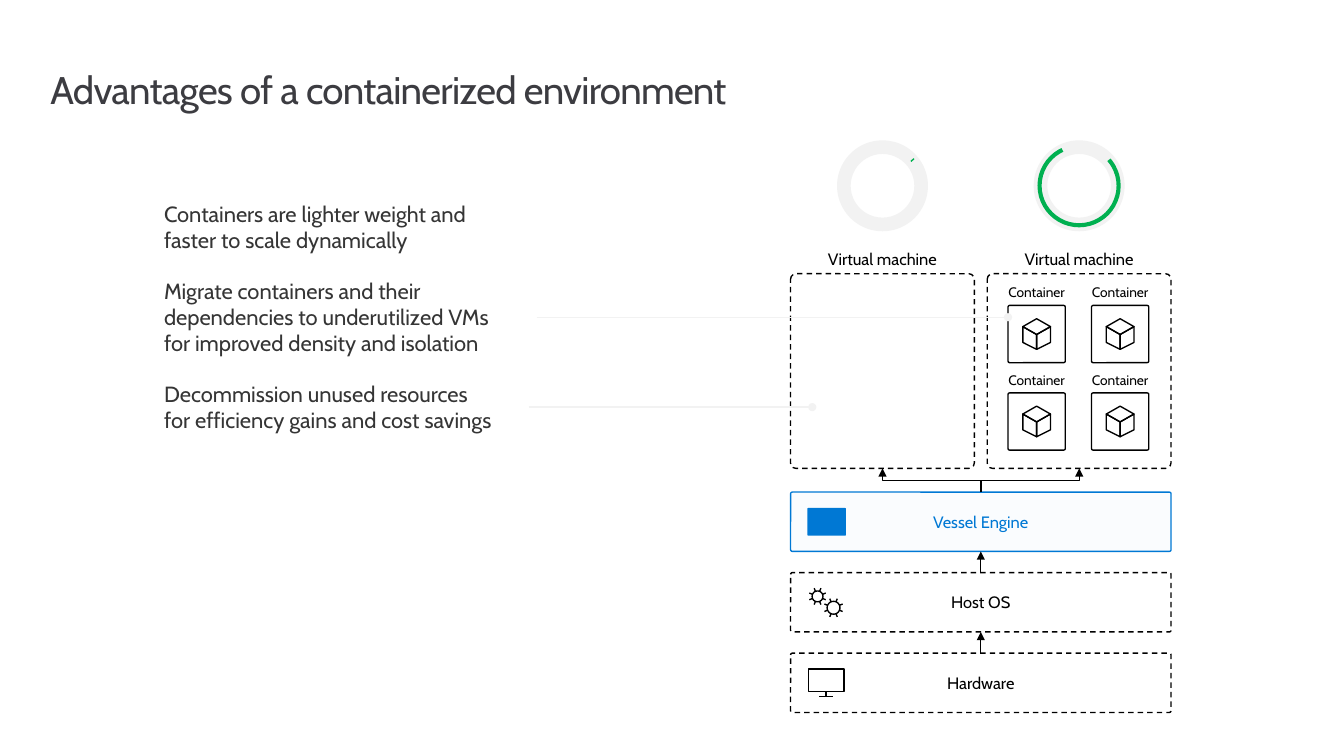
import math

import pptx
import pptx.dml.color
import pptx.enum.dml
import pptx.enum.shapes
import pptx.enum.text
import pptx.oxml.ns
import pptx.util
from lxml import etree

BLACK = pptx.dml.color.RGBColor(0x00, 0x00, 0x00)
TITLE_GREY = pptx.dml.color.RGBColor(0x3C, 0x3C, 0x41)
TEXT_GREY = pptx.dml.color.RGBColor(0x35, 0x35, 0x35)
PALE_GREY = pptx.dml.color.RGBColor(0xF2, 0xF2, 0xF2)
GREEN = pptx.dml.color.RGBColor(0x00, 0xB0, 0x50)
BLUE = pptx.dml.color.RGBColor(0x00, 0x78, 0xD4)

FONT = "Cabin"
COLUMNS, ROWS = 136, 76.5
CELL = pptx.util.Inches(0.1)
STACK_LEFT, STACK_WIDTH, LAYER_HEIGHT = 80, 38.5, 6
ENGINE_TOP, LAYER_PITCH = 49.8, 8.15
MACHINE_TOP, MACHINE_WIDTH, MACHINE_HEIGHT, MACHINE_PITCH = 27.7, 18.6, 19.7, 19.9
CONTAINER_LEFT, CONTAINER_TOP, CONTAINER_SIZE = 102, 30.9, 5.8
CONTAINER_PITCH_X, CONTAINER_PITCH_Y = 8.45, 8.85

SHAPE = pptx.enum.shapes.MSO_SHAPE
CONNECTOR = pptx.enum.shapes.MSO_CONNECTOR
ANCHOR = pptx.enum.text.MSO_ANCHOR
ALIGN = pptx.enum.text.PP_ALIGN

ADVANTAGES = [
    "Containers are lighter weight and\vfaster to scale dynamically",
    "Migrate containers and their dependencies to underutilized VMs "
    "for improved density and isolation",
    "Decommission unused resources\vfor efficiency gains and cost savings",
]

# Icon outlines: (points in tenths of a cell, closed)
CUBE = [
    ([(28, 8), (28, 24), (14, 31), (14, 16)], True),
    ([(0, 8), (14, 16), (14, 31), (0, 24)], True),
    ([(14, 0), (28, 8), (14, 16), (0, 8)], True),
]
MONITOR = [
    ([(0, 0), (36, 0), (36, 23), (0, 23)], True),
    ([(18, 23), (18, 28)], False),
    ([(11, 28), (25, 28)], False),
]


def cells(*counts):
    return [pptx.util.Emu(round(count * CELL)) for count in counts]


def set_font(paragraph, size, color):
    paragraph.font.name = FONT
    paragraph.font.size = pptx.util.Pt(size)
    paragraph.font.color.rgb = color


def set_frame(frame, inset_x, inset_y, anchor):
    frame.word_wrap = True
    frame.auto_size = pptx.enum.text.MSO_AUTO_SIZE.NONE
    frame.margin_left = frame.margin_right = cells(inset_x)[0]
    frame.margin_top = frame.margin_bottom = cells(inset_y)[0]
    frame.vertical_anchor = anchor


def write_centred(shape, text, size, color, anchor):
    set_frame(shape.text_frame, 0, 0, anchor)
    paragraph = shape.text_frame.paragraphs[0]
    paragraph.text = text
    paragraph.alignment = ALIGN.CENTER
    set_font(paragraph, size, color)


def style_shape(shape, fill=None, line=None, width=1, dashed=False):
    shape.shadow.inherit = False
    if fill is None:
        shape.fill.background()
    else:
        shape.fill.solid()
        shape.fill.fore_color.rgb = fill
    if line is None:
        shape.line.fill.background()
    else:
        shape.line.color.rgb = line
        shape.line.width = pptx.util.Pt(width)
    if dashed:
        shape.line.dash_style = pptx.enum.dml.MSO_LINE.DASH


def add_box(slide, place, **style):
    box = slide.shapes.add_shape(SHAPE.ROUNDED_RECTANGLE, *cells(*place))
    box.adjustments[0] = 0.03
    style_shape(box, **style)
    return box


def add_label(slide, center, bottom, text, size):
    width, height = 14, 2
    label = slide.shapes.add_textbox(*cells(center - width / 2, bottom - height, width, height))
    write_centred(label, text, size, BLACK, ANCHOR.BOTTOM)


def add_icon(slide, left, top, outlines):
    builder = None
    for points, closed in outlines:
        points = [(round(x * 10), round(y * 10)) for x, y in points]
        if builder is None:
            builder = slide.shapes.build_freeform(*points[0], scale=CELL / 100)
        else:
            builder.move_to(*points[0])
        builder.add_line_segments(points[1:], close=closed)
    style_shape(builder.convert_to_shape(*cells(left, top)), line=BLACK)


def gear(center_x, center_y, radius, tooth_tip):
    def at(distance, degrees):
        angle = math.radians(degrees)
        return center_x + distance * math.cos(angle), center_y + distance * math.sin(angle)

    rim = [at(radius, degrees) for degrees in range(0, 360, 15)]
    teeth = [([at(radius, 22.5 + 45 * k), at(tooth_tip, 22.5 + 45 * k)], False) for k in range(8)]
    return [(rim, True)] + teeth


def add_line(slide, kind, start, end, color, tip):
    line = slide.shapes.add_connector(kind, *cells(*start, *end))
    line.line.color.rgb = color
    line.line.width = pptx.util.Pt(1)
    etree.SubElement(line.line._get_or_add_ln(), pptx.oxml.ns.qn("a:tailEnd"), type=tip)
    etree.SubElement(line._element.spPr, pptx.oxml.ns.qn("a:effectLst"))
    return line


def add_branch(slide, start_x, end_x, bottom, top):
    """Elbow arrow that leaves upwards: a sideways elbow turned by a quarter."""
    center_x, center_y = (start_x + end_x) / 2, (bottom + top) / 2
    half_drop, half_reach = (bottom - top) / 2, abs(end_x - start_x) / 2
    branch = add_line(slide, CONNECTOR.ELBOW, (center_x - half_drop, center_y - half_reach),
                      (center_x + half_drop, center_y + half_reach), BLACK, "triangle")
    frame = branch._element.spPr.find(pptx.oxml.ns.qn("a:xfrm"))
    frame.set("flipV", "1")
    if end_x < start_x:
        frame.set("rot", "16200000")
    else:
        frame.set("rot", "5400000")
        frame.set("flipH", "1")


def add_gauge(slide, center, start, end):
    """Usage ring with a green arc running clockwise between two angles."""
    middle = 18.8
    ring = slide.shapes.add_shape(SHAPE.DONUT, *cells(center - 4.6, middle - 4.6, 9.2, 9.2))
    ring.adjustments[0] = 0.15
    style_shape(ring, fill=PALE_GREY)
    arc = slide.shapes.add_shape(SHAPE.ARC, *cells(center - 4, middle - 4, 8, 8))
    arc.adjustments[0], arc.adjustments[1] = start * 0.6, end * 0.6
    style_shape(arc, line=GREEN, width=3)


def add_container(slide, left, top):
    add_label(slide, left + CONTAINER_SIZE / 2, top - 0.5, "Container", 10)
    add_box(slide, (left, top, CONTAINER_SIZE, CONTAINER_SIZE), line=BLACK)
    add_icon(slide, left + 1.5, top + 1.35, CUBE)


def add_layer(slide, row, text, color, **style):
    place = (STACK_LEFT, ENGINE_TOP + row * LAYER_PITCH, STACK_WIDTH, LAYER_HEIGHT)
    layer = add_box(slide, place, line=color, **style)
    write_centred(layer, text, 12, color, ANCHOR.MIDDLE)
    return layer


def place_placeholder(shape, left, top, width, height):
    shape.left, shape.top, shape.width, shape.height = cells(left, top, width, height)


def fill_text(slide):
    title, body = slide.shapes.title, slide.placeholders[1]
    place_placeholder(title, 5.1, 6.9, 109.3, 4.5)
    set_frame(title.text_frame, 0, 0, ANCHOR.MIDDLE)
    heading = title.text_frame.paragraphs[0]
    heading.text = "Advantages of a containerized environment"
    heading.alignment = ALIGN.LEFT
    heading.line_spacing = pptx.util.Pt(32)
    set_font(heading, 28, TITLE_GREY)
    heading.runs[0]._r.get_or_add_rPr().set("spc", "-50")

    place_placeholder(body, 15, 18.7, 38.3, 27)
    set_frame(body.text_frame, 1.6, 1.6, ANCHOR.TOP)
    for index, text in enumerate(ADVANTAGES):
        paragraph = body.text_frame.add_paragraph() if index else body.text_frame.paragraphs[0]
        paragraph.text = text
        properties = paragraph._p.get_or_add_pPr()
        properties.set("marL", "0")
        properties.set("indent", "0")
        etree.SubElement(properties, pptx.oxml.ns.qn("a:buNone"))
        paragraph.space_before = pptx.util.Pt(0)
        paragraph.space_after = pptx.util.Pt(17.5)
        set_font(paragraph, 16, TEXT_GREY)


def main():
    presentation = pptx.Presentation()
    presentation.slide_width, presentation.slide_height = cells(COLUMNS, ROWS)
    slide = presentation.slides.add_slide(presentation.slide_layouts[1])
    fill_text(slide)

    machine_centers = []
    for index, (start, end) in enumerate([(318.5, 320.5), (319, 245)]):
        left = STACK_LEFT + index * MACHINE_PITCH
        center = left + MACHINE_WIDTH / 2
        machine_centers.append(center)
        add_box(slide, (left, MACHINE_TOP, MACHINE_WIDTH, MACHINE_HEIGHT), line=BLACK, dashed=True)
        add_label(slide, center, MACHINE_TOP - 0.5, "Virtual machine", 12)
        add_gauge(slide, center, start, end)
    for row in range(2):
        for column in range(2):
            add_container(slide, CONTAINER_LEFT + column * CONTAINER_PITCH_X,
                          CONTAINER_TOP + row * CONTAINER_PITCH_Y)
    for start, end, height in [(54.3, 102, 32.1), (53.5, 82.2, 41.2)]:
        add_line(slide, CONNECTOR.STRAIGHT, (start, height), (end, height), PALE_GREY, "oval")

    engine = add_layer(slide, 0, "Vessel Engine", BLUE, fill=BLUE)
    etree.SubElement(engine.fill._xPr.find(".//" + pptx.oxml.ns.qn("a:srgbClr")),
                     pptx.oxml.ns.qn("a:alpha"), val="2000")
    host = add_layer(slide, 1, "Host OS", BLACK, dashed=True)
    hardware = add_layer(slide, 2, "Hardware", BLACK, dashed=True)
    add_box(slide, (81.7, 51.4, 3.9, 2.8), fill=BLUE)
    add_icon(slide, 81.9, 59.5, gear(8.3, 8.5, 5.5, 9) + gear(24.5, 20, 6.5, 10))
    add_icon(slide, 81.8, 67.7, MONITOR)

    for lower, upper in [(hardware, host), (host, engine)]:
        arrow = add_line(slide, CONNECTOR.STRAIGHT, (0, 0), (1, 1), BLACK, "triangle")
        arrow.begin_connect(lower, 0)
        arrow.end_connect(upper, 2)
    for center in machine_centers:
        add_branch(slide, STACK_LEFT + STACK_WIDTH / 2, center, ENGINE_TOP,
                   MACHINE_TOP + MACHINE_HEIGHT)
    presentation.save("out.pptx")


if __name__ == "__main__":
    main()
